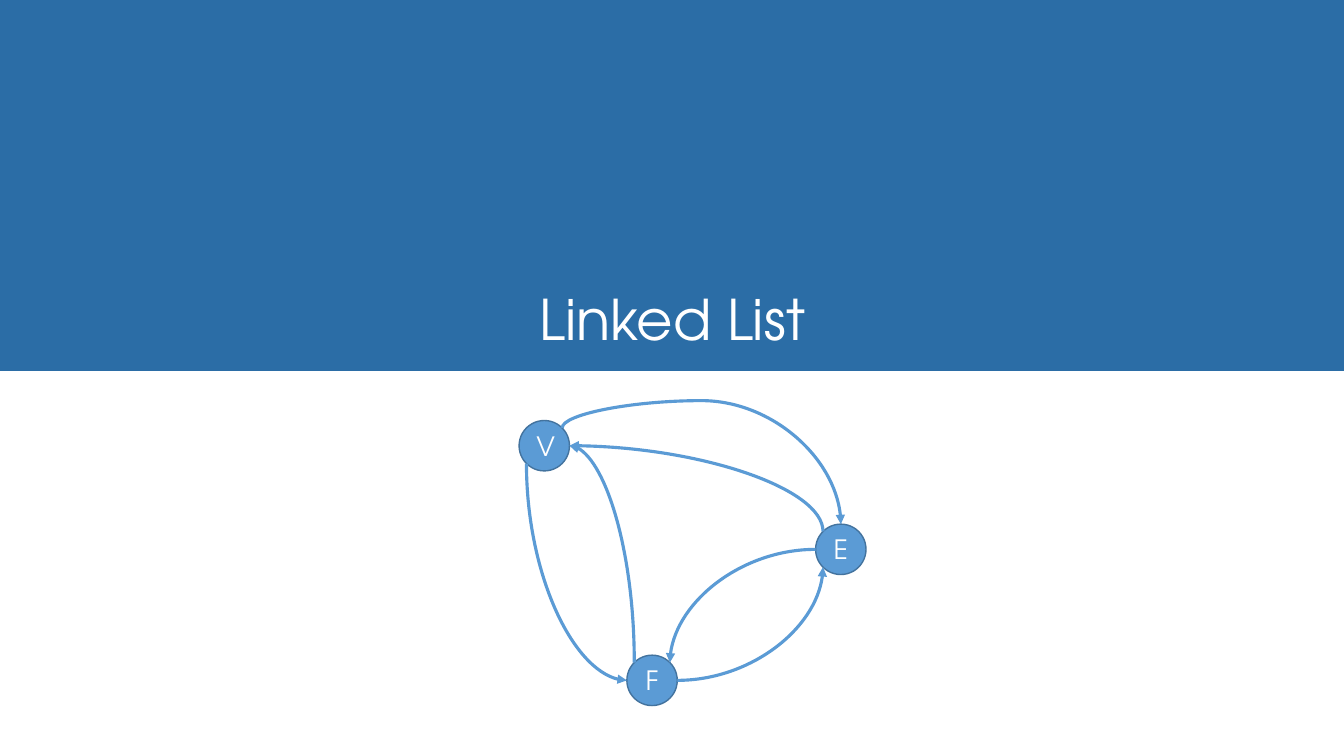
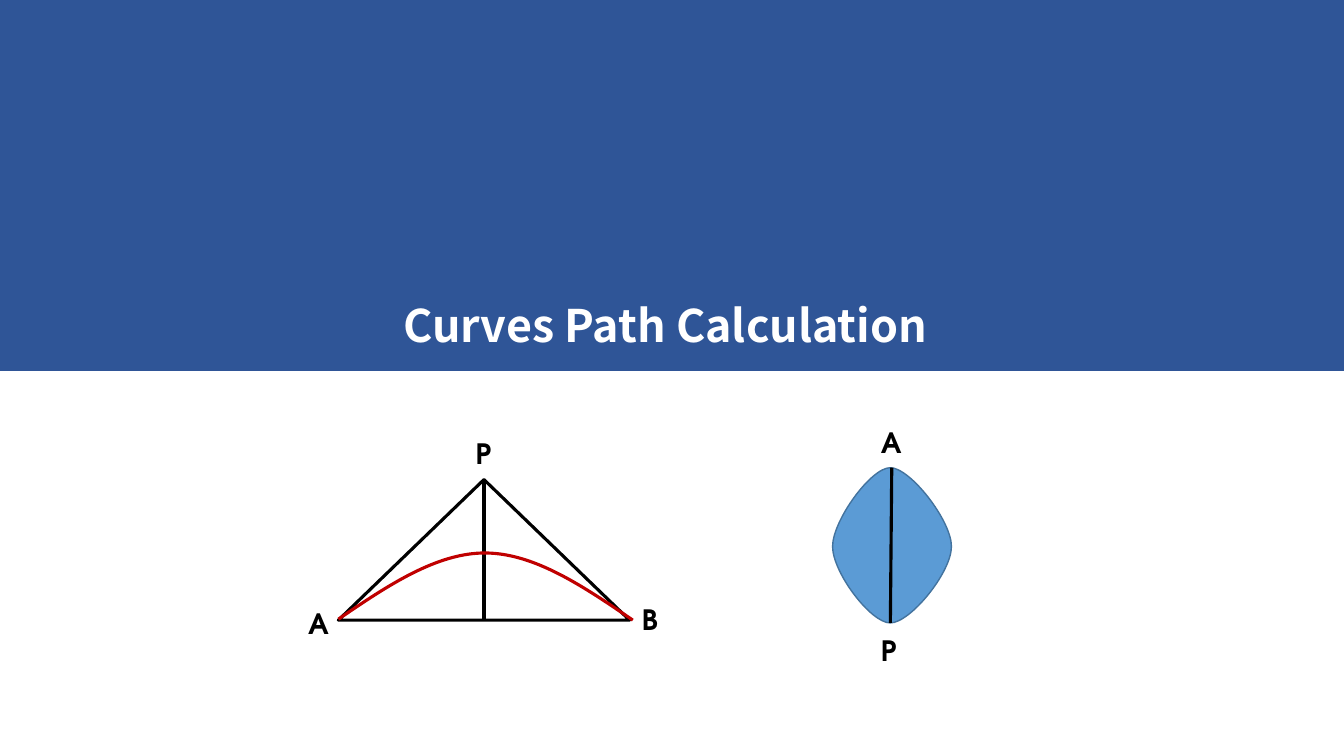
"""Build two topic slides with a coloured title band and a diagram below."""
import math

import lxml.etree
import pptx
import pptx.dml.color
import pptx.enum.shapes
import pptx.enum.text
import pptx.oxml.ns
import pptx.util

Pt = pptx.util.Pt
RGBColor = pptx.dml.color.RGBColor
SHAPE = pptx.enum.shapes.MSO_SHAPE
CONNECTOR = pptx.enum.shapes.MSO_CONNECTOR
ALIGN = pptx.enum.text.PP_ALIGN
ANCHOR = pptx.enum.text.MSO_ANCHOR
qn = pptx.oxml.ns.qn

WHITE = RGBColor(0xFF, 0xFF, 0xFF)
BLACK = RGBColor(0x00, 0x00, 0x00)
BAND_BLUE = RGBColor(0x2B, 0x6D, 0xA6)
BAND_NAVY = RGBColor(0x2F, 0x55, 0x97)
SKY = RGBColor(0x5B, 0x9B, 0xD5)
SKY_EDGE = RGBColor(0x43, 0x73, 0x9E)
RED = RGBColor(0xC0, 0x00, 0x00)
GEOMETRIC = "TeX Gyre Adventor"
SANS = "Noto Sans CJK SC"
SLIDE_W, SLIDE_H, BAND_H = 960, 540, 265
NODE_SIZE = 36
STROKE = 2.25


def write(tf, text, font, size, color, bold=False, align=ALIGN.LEFT):
    """Put one formatted run into a text frame."""
    p = tf.paragraphs[0]
    p.alignment = align
    r = p.add_run()
    r.text = text
    r.font.name = font
    r.font.size = Pt(size)
    r.font.bold = bold
    r.font.color.rgb = color


def style(sp, fill=None, line=None, weight=1):
    """Set fill and outline of a shape, and remove its shadow."""
    sp.shadow.inherit = False
    if fill is None:
        sp.fill.background()
    else:
        sp.fill.solid()
        sp.fill.fore_color.rgb = fill
    if line is None:
        sp.line.fill.background()
    else:
        sp.line.color.rgb = line
        sp.line.width = Pt(weight)


def add_shape(s, kind, left, top, width, height, **look):
    """Add a styled preset shape."""
    sp = s.shapes.add_shape(kind, Pt(left), Pt(top), Pt(width), Pt(height))
    style(sp, **look)
    return sp


def add_titled_slide(prs, band_color, box, text, font, size, *, bold=False,
                     align=ALIGN.LEFT, anchor=ANCHOR.TOP, inset=(0, 0)):
    """Add a slide with a title on a full-width band."""
    s = prs.slides.add_slide(prs.slide_layouts[5])
    band = add_shape(s, SHAPE.RECTANGLE, 0, 0, SLIDE_W, BAND_H, fill=band_color)
    title = s.shapes.title
    title._element.addprevious(band._element)
    title.left, title.top, title.width, title.height = map(Pt, box)
    tf = title.text_frame
    tf.auto_size = pptx.enum.text.MSO_AUTO_SIZE.NONE
    tf.word_wrap = False
    tf.vertical_anchor = anchor
    tf.margin_left = tf.margin_right = Pt(inset[0])
    tf.margin_top = tf.margin_bottom = Pt(inset[1])
    write(tf, text, font, size, WHITE, bold, align)
    return s


def add_label(s, text, left, top):
    """Add a bold point label."""
    sp = s.shapes.add_textbox(Pt(left), Pt(top), Pt(28), Pt(31.5))
    sp.text_frame.word_wrap = False
    write(sp.text_frame, text, GEOMETRIC, 20, BLACK, True)


def add_node(s, text, left, top):
    """Add a graph node and return its centre."""
    sp = add_shape(s, SHAPE.OVAL, left, top, NODE_SIZE, NODE_SIZE,
                   fill=SKY, line=SKY_EDGE)
    sp.text_frame.vertical_anchor = ANCHOR.MIDDLE
    write(sp.text_frame, text, GEOMETRIC, 19, WHITE, align=ALIGN.CENTER)
    return left + NODE_SIZE / 2, top + NODE_SIZE / 2


def add_line(s, kind, start, end, color):
    """Add a connector without shadow."""
    sp = s.shapes.add_connector(kind, *map(Pt, (*start, *end)))
    sp.line.color.rgb = color
    sp.line.width = Pt(STROKE)
    lxml.etree.SubElement(sp._element.spPr, qn("a:effectLst"))
    return sp


def rim_point(centre, degrees):
    """Return the point of a node's rim at a clockwise angle from the right."""
    a = math.radians(degrees)
    return (centre[0] + NODE_SIZE / 2 * math.cos(a),
            centre[1] + NODE_SIZE / 2 * math.sin(a))


def add_edge(s, source, source_angle, target, target_angle, adjust=None):
    """Add a curved arrow between two nodes, leaving sideways or vertically."""
    start = rim_point(source, source_angle)
    end = rim_point(target, target_angle)
    vertical = source_angle % 180 != 0
    if vertical:
        mid_x, mid_y = (start[0] + end[0]) / 2, (start[1] + end[1]) / 2
        half_w, half_h = (start[1] - end[1]) / 2, (end[0] - start[0]) / 2
        start = mid_x - half_w, mid_y - half_h
        end = mid_x + half_w, mid_y + half_h
    sp = add_line(s, CONNECTOR.CURVE, start, end, SKY)
    spPr = sp._element.spPr
    if vertical:
        spPr.find(qn("a:xfrm")).set("rot", str(270 * 60000))
    geom = spPr.find(qn("a:prstGeom"))
    if adjust is None:
        geom.set("prst", "curvedConnector2")
    else:
        guides = geom.find(qn("a:avLst"))
        lxml.etree.SubElement(guides, qn("a:gd"), name="adj1", fmla=f"val {adjust}")
    lxml.etree.SubElement(spPr.find(qn("a:ln")), qn("a:tailEnd"), type="triangle")


def add_bezier(s, points, close=False, **look):
    """Add a freeform of cubic curves, three points for each after the start."""
    points = [(Pt(x), Pt(y)) for x, y in points]
    builder = s.shapes.build_freeform(*points[0], scale=1.0)
    builder.add_line_segments(points[1:], close=close)
    sp = builder.convert_to_shape()
    steps = list(sp._element.iter(qn("a:lnTo")))
    for i in range(0, len(points) - 1, 3):
        curve = lxml.etree.Element(qn("a:cubicBezTo"))
        steps[i].addprevious(curve)
        for step in steps[i:i + 3]:
            curve.append(step[0])
            step.getparent().remove(step)
    style(sp, **look)


def build_linked_list(prs):
    """Build the slide with the three-node graph."""
    s = add_titled_slide(prs, BAND_BLUE, (383.8, 203, 193, 48.2), "Linked List",
                         GEOMETRIC, 40, align=ALIGN.CENTER)
    v = add_node(s, "V", 370.8, 300.4)
    e = add_node(s, "E", 582.6, 374.4)
    f = add_node(s, "F", 447.8, 468)
    add_edge(s, v, 135, f, 180)
    add_edge(s, f, 225, v, 0)
    add_edge(s, v, 315, e, 270, adjust=-28400)
    add_edge(s, e, 225, v, 0)
    add_edge(s, f, 0, e, 135)
    add_edge(s, e, 180, f, 315)


def build_curves(prs):
    """Build the slide with the triangle and the lens."""
    s = add_titled_slide(prs, BAND_NAVY, (280.8, 208.8, 399, 46),
                         "Curves Path Calculation", SANS, 32, bold=True,
                         anchor=ANCHOR.BOTTOM, inset=(7.2, 3.6))
    left, right, mid = 594.7, 679.6, 635.9
    top, upper, middle, lower, bottom = 334.1, 372, 390.4, 409, 445
    add_bezier(s, [(mid, top), (650.2, top), (right, upper), (right, middle),
                   (right, lower), (650.2, bottom), (mid, bottom),
                   (622, bottom), (left, lower), (left, middle),
                   (left, upper), (622, top), (mid, top)],
               close=True, fill=SKY, line=SKY_EDGE)
    add_shape(s, SHAPE.ISOSCELES_TRIANGLE, 241.7, 342.6, 208, 100.4,
              line=BLACK, weight=STROKE)
    add_line(s, CONNECTOR.STRAIGHT, (345.7, 342.6), (345.7, 443), BLACK)
    add_bezier(s, [(241.7, 442.3), (276.6, 418.5), (311.8, 394.8), (346.8, 395),
                   (381.8, 395.2), (416.9, 419), (452, 443)],
               line=RED, weight=STROKE)
    add_line(s, CONNECTOR.STRAIGHT, (637, 334.1), (636, 445), BLACK)
    for text, x, y in [("A", 213.1, 429.8), ("B", 451.4, 427), ("P", 332.6, 308.2),
                       ("A", 622.1, 300.2), ("P", 622.1, 448.6)]:
        add_label(s, text, x, y)


def main():
    """Build and save the presentation."""
    prs = pptx.Presentation()
    prs.slide_width, prs.slide_height = Pt(SLIDE_W), Pt(SLIDE_H)
    build_linked_list(prs)
    build_curves(prs)
    prs.save("out.pptx")


if __name__ == "__main__":
    main()
